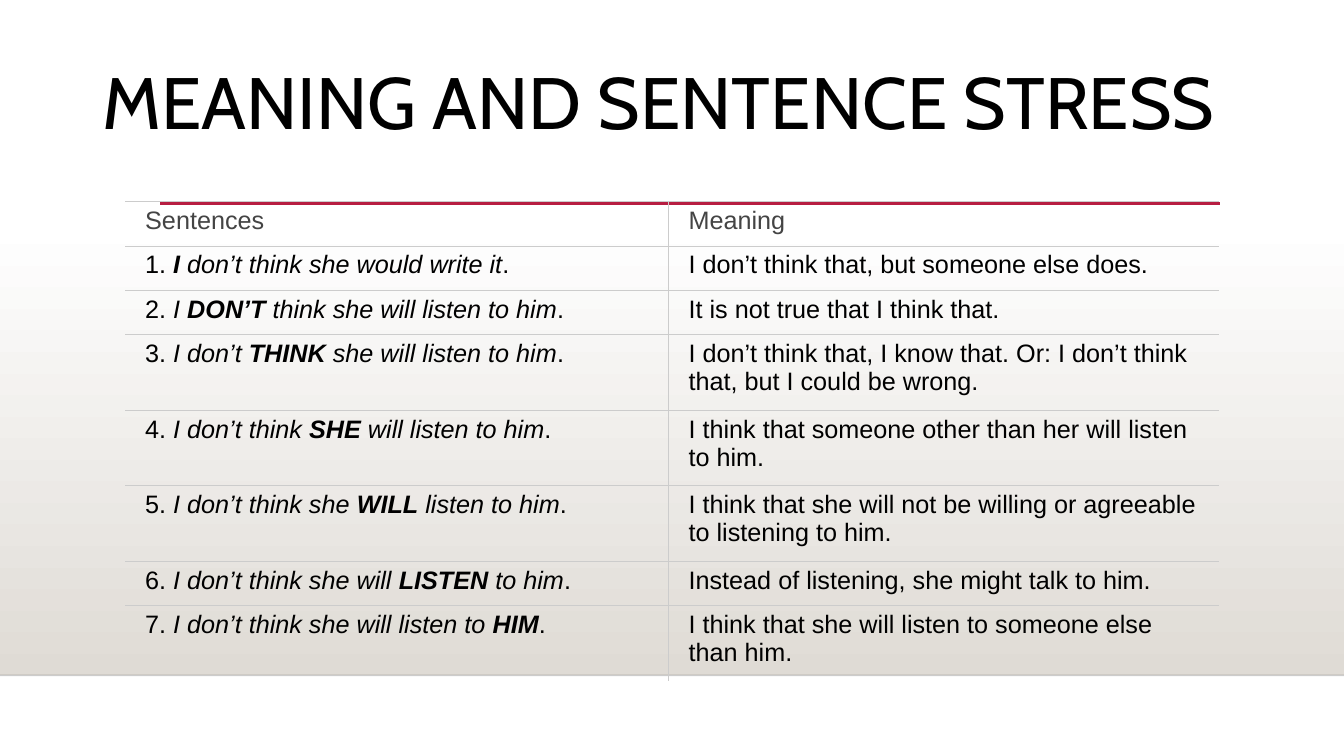
from pptx import Presentation
from pptx.dml.color import RGBColor
from pptx.enum.shapes import MSO_CONNECTOR, MSO_SHAPE
from pptx.enum.text import MSO_ANCHOR
from pptx.oxml import parse_xml
from pptx.oxml.ns import nsdecls, qn
from pptx.util import Inches, Pt
from lxml.etree import SubElement

WHITE = RGBColor(0xFF, 0xFF, 0xFF)
SAND = RGBColor(0xDF, 0xDB, 0xD5)
CRIMSON = RGBColor(0xB7, 0x1E, 0x42)
BLACK = RGBColor(0, 0, 0)
GRAY = RGBColor(0x44, 0x44, 0x44)
BORDER = RGBColor(0xCC, 0xCC, 0xCC)

NO_STYLE = "{2D5ABB26-0587-4C30-8999-92F81FD0307C}"
COLUMN_WIDTHS = (5.39, 5.46)
SHORT_ROW, TALL_ROW = 0.44, 0.75
HEADINGS = ("Sentences", "Meaning")
EXAMPLES = [
    ("", "I", " don’t think she would write it",
     "I don’t think that, but someone else does.", SHORT_ROW),
    ("I ", "DON’T", " think she will listen to him",
     "It is not true that I think that.", SHORT_ROW),
    ("I don’t ", "THINK", " she will listen to him",
     "I don’t think that, I know that. Or: I don’t think that, but I could be wrong.", TALL_ROW),
    ("I don’t think ", "SHE", " will listen to him",
     "I think that someone other than her will listen to him.", TALL_ROW),
    ("I don’t think she ", "WILL", " listen to him",
     "I think that she will not be willing or agreeable to listening to him.", TALL_ROW),
    ("I don’t think she will ", "LISTEN", " to him",
     "Instead of listening, she might talk to him.", SHORT_ROW),
    ("I don’t think she will listen to ", "HIM", "",
     "I think that she will listen to someone else than him.", TALL_ROW),
]


def add_backdrop(slide):
    shape = slide.shapes.add_shape(
        MSO_SHAPE.RECTANGLE, 0, Inches(2.21), Inches(13.33), Inches(4.49))
    shape.shadow.inherit = False
    shape.line.fill.background()
    shape.fill.gradient()
    shape.fill.gradient_angle = 270
    for stop, color in zip(shape.fill.gradient_stops, (WHITE, SAND)):
        stop.color.rgb = color


def add_rule(slide, left, right, top, color, width, opacity=100):
    line = slide.shapes.add_connector(
        MSO_CONNECTOR.STRAIGHT, Inches(left), Inches(top), Inches(right), Inches(top))
    line.line.color.rgb = color
    line.line.width = Pt(width)
    properties = line._element.spPr
    if opacity < 100:
        color_element = next(properties.iter(qn("a:srgbClr")))
        SubElement(color_element, qn("a:alpha")).set("val", str(opacity * 1000))
    SubElement(properties, qn("a:effectLst"))


def format_run(run, font, size, color, bold=False, italic=False):
    run.font.name = font
    run.font.size = Pt(size)
    run.font.color.rgb = color
    run.font.bold = bold
    run.font.italic = italic


def add_title(slide, text):
    box = slide.shapes.add_textbox(Inches(0.92), Inches(0.61), Inches(11.5), Inches(1.24))
    frame = box.text_frame
    frame.word_wrap = True
    frame.vertical_anchor = MSO_ANCHOR.TOP
    frame.text = text
    paragraph = frame.paragraphs[0]
    paragraph.line_spacing = 0.9
    format_run(paragraph.runs[0], "Cabin", 52, BLACK)


def set_borders(cell, sides):
    for side in sides:
        cell._tc.get_or_add_tcPr().append(parse_xml(
            f'<a:ln{side} {nsdecls("a")} w="{Pt(0.6)}"><a:solidFill>'
            f'<a:srgbClr val="{BORDER}"/></a:solidFill></a:ln{side}>'))


def fill_cell(cell, pieces, color, sides):
    set_borders(cell, sides)
    cell.fill.background()
    cell.margin_left = cell.margin_right = Inches(0.2)
    cell.margin_top = cell.margin_bottom = Inches(0.05)
    paragraph = cell.text_frame.paragraphs[0]
    for text, bold, italic in pieces:
        if text:
            run = paragraph.add_run()
            run.text = text
            format_run(run, "Arial", 18, color, bold, italic)


def add_stress_table(slide):
    heights = [SHORT_ROW] + [example[-1] for example in EXAMPLES]
    table = slide.shapes.add_table(
        len(heights), len(COLUMN_WIDTHS), Inches(1.24), Inches(2),
        Inches(sum(COLUMN_WIDTHS)), Inches(sum(heights))).table
    table.first_row = table.horz_banding = False
    table._tbl.tblPr.find(qn("a:tableStyleId")).text = NO_STYLE
    for column, width in zip(table.columns, COLUMN_WIDTHS):
        column.width = Inches(width)
    for row, height in zip(table.rows, heights):
        row.height = Inches(height)

    rows = [[[(heading, False, False)] for heading in HEADINGS]]
    for number, (before, stressed, after, meaning, _) in enumerate(EXAMPLES, 1):
        sentence = [(f"{number}. ", False, False), (before, False, True),
                    (stressed, True, True), (after, False, True), (".", False, False)]
        rows.append([sentence, [(meaning, False, False)]])
    for index, row in enumerate(rows):
        bottom = "B" if index < len(rows) - 1 else ""
        for column, pieces in enumerate(row):
            fill_cell(table.cell(index, column), pieces,
                      BLACK if index else GRAY, "RL"[column] + "T" + bottom)


def main():
    presentation = Presentation()
    presentation.slide_width = Inches(13.33)
    presentation.slide_height = Inches(7.5)
    slide = presentation.slides.add_slide(presentation.slide_layouts[6])
    slide.background.fill.solid()
    slide.background.fill.fore_color.rgb = WHITE
    add_backdrop(slide)
    add_rule(slide, 0, 13.33, 6.7, BLACK, 1, opacity=20)
    add_rule(slide, 1.59, 12.1, 2.02, CRIMSON, 2.5)
    add_title(slide, "MEANING AND SENTENCE STRESS")
    add_stress_table(slide)
    presentation.save("out.pptx")


if __name__ == "__main__":
    main()
